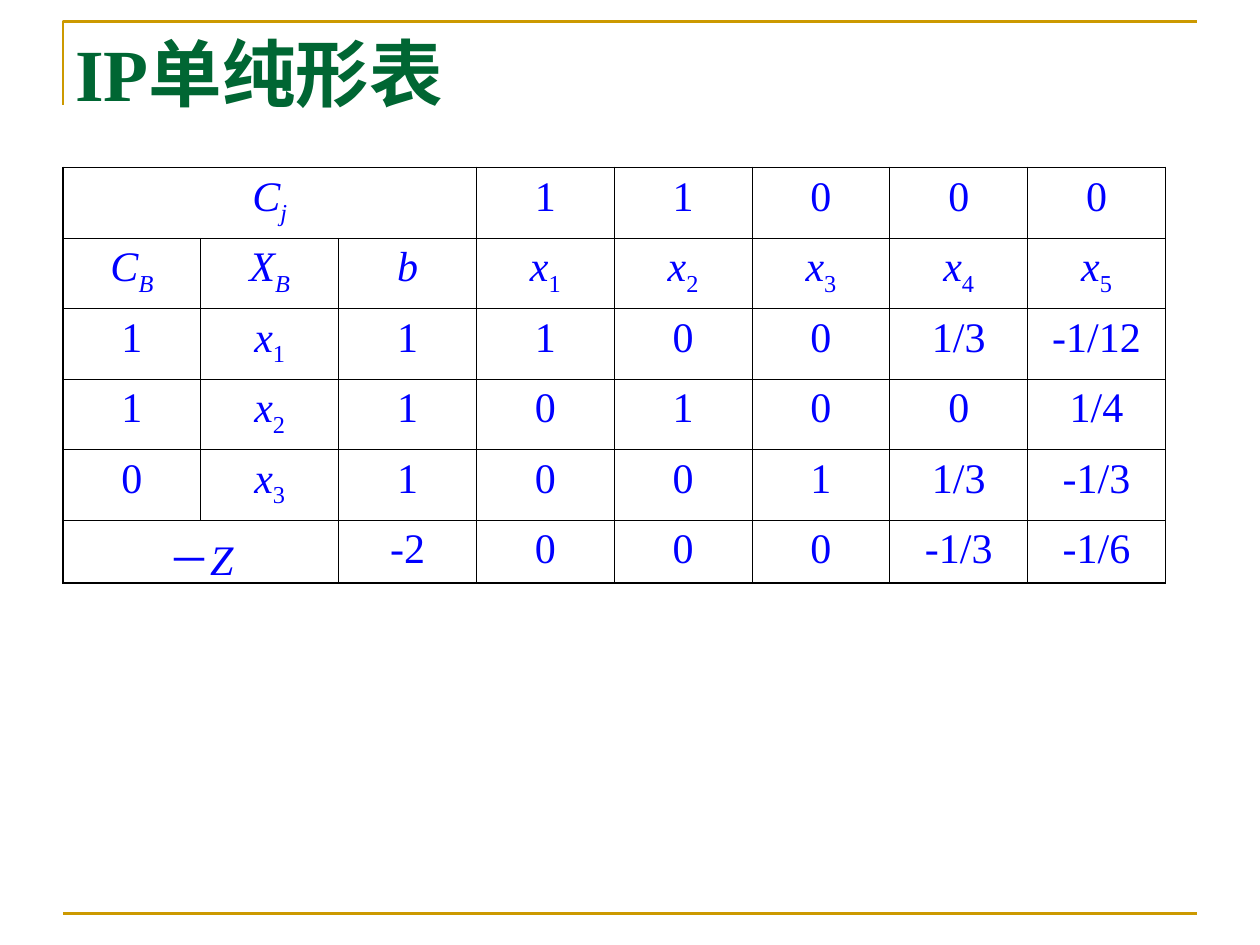
from dataclasses import dataclass
from itertools import groupby

from lxml import etree
from pptx import Presentation, util as u
from pptx.dml.color import RGBColor
from pptx.enum import shapes, text
from pptx.oxml.ns import qn


@dataclass(frozen=True)
class Theme:
    font: str = "Times New Roman"
    title_size: float = 42
    cell_size: float = 24
    cell_space: float = 6
    title: str = "006633"
    cell: str = "0000FF"
    rule: str = "CC9900"
    border: str = "000000"
    rule_width: float = 1.5
    outer: float = 1.08
    inner: float = 0.45


THEME = Theme()
WIDTH, HEIGHT = u.Inches(10), u.Inches(7.5)
LEFT, RIGHT = int(WIDTH * 0.05), int(WIDTH * 0.95)
TOP = u.Inches(0.17)

# "_" starts a subscript; None continues the merged cell to its left.
TABLEAU = [
    ["C_j", None, None, "1", "1", "0", "0", "0"],
    ["C_B", "X_B", "b", "x_1", "x_2", "x_3", "x_4", "x_5"],
    ["1", "x_1", "1", "1", "0", "0", "1/3", "-1/12"],
    ["1", "x_2", "1", "0", "1", "0", "0", "1/4"],
    ["0", "x_3", "1", "0", "0", "1", "1/3", "-1/3"],
    ["－Z", None, "-2", "0", "0", "0", "-1/3", "-1/6"],
]


def style_line(line):
    line.color.rgb = RGBColor.from_string(THEME.rule)
    line.width = u.Pt(THEME.rule_width)


def add_corner(page):
    """Draw the open angle that frames the title."""
    builder = page.shapes.build_freeform(LEFT, u.Inches(0.83))
    builder.add_line_segments([(LEFT, TOP), (RIGHT, TOP)], close=False)
    corner = builder.convert_to_shape()
    corner.fill.background()
    corner.shadow.inherit = False
    style_line(corner.line)


def add_footer_rule(page):
    level = u.Inches(7.25)
    rule = page.shapes.add_connector(
        shapes.MSO_CONNECTOR.STRAIGHT, LEFT, level, RIGHT, level)
    style_line(rule.line)
    etree.SubElement(rule._element.spPr, qn("a:effectLst"))


def add_title(page, wording):
    box = page.shapes.add_textbox(LEFT, TOP, RIGHT - LEFT, u.Inches(1))
    box.text_frame.word_wrap = True
    para = box.text_frame.paragraphs[0]
    para.text = wording
    para.font.name = THEME.font
    para.font.size = u.Pt(THEME.title_size)
    para.font.bold = True
    para.font.color.rgb = RGBColor.from_string(THEME.title)


def write_formula(para, formula):
    """Set letters in italics, and whatever follows "_" as a subscript."""
    para.alignment = text.PP_ALIGN.CENTER
    para.space_before = u.Pt(THEME.cell_space)
    para.font.name = THEME.font
    para.font.size = u.Pt(THEME.cell_size)
    base, _, index = formula.partition("_")
    for part, offset in ((base, None), (index, "-25000")):
        for is_letter, letters in groupby(part, str.isalpha):
            span = para.add_run()
            span.text = "".join(letters)
            span.font.italic = is_letter
            span.font.color.rgb = RGBColor.from_string(THEME.cell)
            if offset:
                span.font._element.set("baseline", offset)


def set_borders(cell, outer_sides):
    properties = cell._tc.get_or_add_tcPr()
    for side in "LRTB":
        width = THEME.outer if side in outer_sides else THEME.inner
        line = etree.SubElement(properties, qn(f"a:ln{side}"), w=str(u.Pt(width)))
        fill = etree.SubElement(line, qn("a:solidFill"))
        etree.SubElement(fill, qn("a:srgbClr"), val=THEME.border)


def add_tableau(page, rows):
    row_count, column_count = len(rows), len(rows[0])
    heights = [0.56] * (row_count - 1) + [0.5]
    frame = page.shapes.add_table(
        row_count, column_count, LEFT, u.Inches(1.33),
        u.Inches(8.75), u.Inches(sum(heights)))
    table = frame.table
    table.first_row = table.horz_banding = False
    for row, height in zip(table.rows, heights):
        row.height = u.Inches(height)
    for r, row in enumerate(rows):
        for c, formula in enumerate(row):
            cell = table.cell(r, c)
            edges = {"L": c == 0, "R": c == column_count - 1,
                     "T": r == 0, "B": r == row_count - 1}
            set_borders(cell, [side for side, outer in edges.items() if outer])
            cell.fill.background()
            if formula is not None:
                write_formula(cell.text_frame.paragraphs[0], formula)
        merged = row.count(None)
        if merged:
            table.cell(r, 0).merge(table.cell(r, merged))


def main():
    deck = Presentation()
    deck.slide_width, deck.slide_height = WIDTH, HEIGHT
    page = deck.slides.add_slide(deck.slide_layouts[6])
    add_corner(page)
    add_footer_rule(page)
    add_title(page, "IP单纯形表")
    add_tableau(page, TABLEAU)
    deck.save("out.pptx")


if __name__ == "__main__":
    main()
